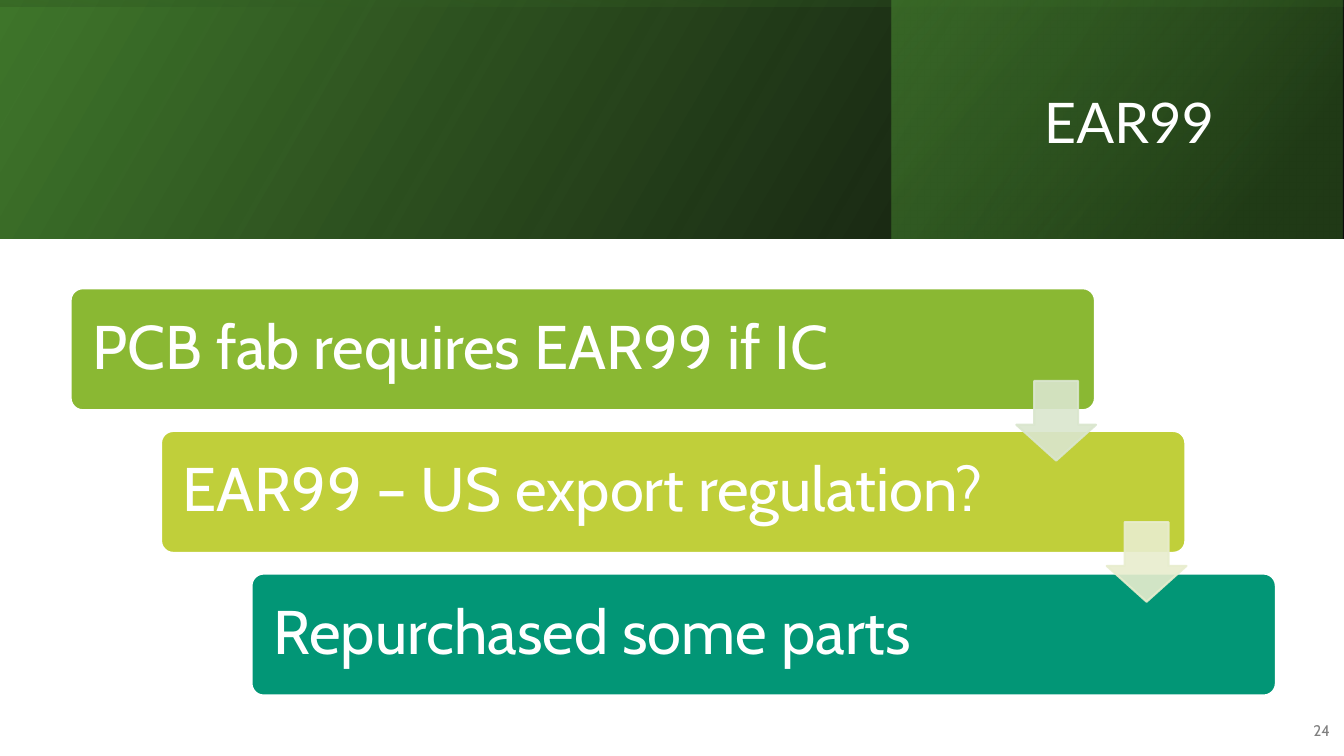
from dataclasses import dataclass
from typing import Optional

from lxml import etree
from pptx import Presentation
from pptx.dml.color import RGBColor
from pptx.enum.shapes import MSO_SHAPE
from pptx.enum.text import MSO_ANCHOR, PP_ALIGN
from pptx.oxml.ns import qn
from pptx.util import Inches, Pt

RECTANGLE = MSO_SHAPE.RECTANGLE
ROUNDED = MSO_SHAPE.ROUNDED_RECTANGLE
DOWN_ARROW = MSO_SHAPE.DOWN_ARROW
LEFT, RIGHT = PP_ALIGN.LEFT, PP_ALIGN.RIGHT
MIDDLE = MSO_ANCHOR.MIDDLE

SLIDE_WIDTH, SLIDE_HEIGHT = Inches(13.33), Inches(7.5)


@dataclass(frozen=True)
class Theme:
    white: str = "FFFFFF"
    black: str = "000000"
    green: str = "3F762B"
    deep_green: str = "2A4F1C"
    fresh_green: str = "549E39"
    gray: str = "808080"
    heading_font: str = "Lato"
    body_font: str = "Cabin"
    title_size: int = 40
    step_size: int = 44
    number_size: int = 11
    outline: float = 1.5


@dataclass(frozen=True)
class Box:
    """Left, top, width and height in percent of the slide."""
    left: float
    top: float
    width: float
    height: float


@dataclass(frozen=True)
class Stop:
    position: float
    color: str
    opacity: int


@dataclass(frozen=True)
class Band:
    box: Box
    stops: tuple[Stop, Stop]
    angle: int
    upright: bool = False


@dataclass(frozen=True)
class Step:
    text: str
    color: str
    arrow_color: Optional[str] = None


THEME = Theme()
HEADER = Box(0, 0, 100, 31.6)
FIRST_BAR = Box(5.25, 38.13, 76.22, 16.13)
FIRST_ARROW = Box(75.62, 50.4, 5.93, 10.53)
STEP_ACROSS, BAR_DOWN, ARROW_DOWN = 6.73, 18.87, 18.67
BAR_INSET = 1.35

BANDS = (
    Band(HEADER, (Stop(0, THEME.black, 96), Stop(1, THEME.green, 100)), 30),
    Band(Box(66.32, 0, 33.6, 31.6),
         (Stop(0.19, THEME.deep_green, 68), Stop(1, THEME.fresh_green, 48)), 40),
    Band(HEADER, (Stop(0.23, THEME.green, 16), Stop(0.99, THEME.black, 45)), 10, upright=True),
)

STEPS = (
    Step("PCB fab requires EAR99 if IC", "8AB833", "DAE6CE"),
    Step("EAR99 – US export regulation?", "C0CF3A", "E8EDCE"),
    Step("Repurchased some parts", "029676"),
)


def across(percent: float) -> int:
    return round(SLIDE_WIDTH * percent / 100)


def down(percent: float) -> int:
    return round(SLIDE_HEIGHT * percent / 100)


def frame(box: Box) -> tuple[int, int, int, int]:
    return across(box.left), down(box.top), across(box.width), down(box.height)


def shifted(box: Box, index: int, row_step: float) -> Box:
    return Box(box.left + index * STEP_ACROSS, box.top + index * row_step, box.width, box.height)


def set_opacity(parent, percent: int) -> None:
    for color in parent.iter(qn("a:srgbClr")):
        etree.SubElement(color, qn("a:alpha")).set("val", str(percent * 1000))


def add_band(slide, band: Band) -> None:
    left, top, width, height = frame(band.box)
    if band.upright:
        # A quarter turn swaps the sides around the same centre
        left, top = left + (width - height) // 2, top + (height - width) // 2
        width, height = height, width
    shape = slide.shapes.add_shape(RECTANGLE, left, top, width, height)
    shape.shadow.inherit = False
    shape.line.fill.background()
    shape.rotation = 270 if band.upright else 0
    shape._element.spPr.find(qn("a:xfrm")).set("flipH", "1")
    shape.fill.gradient()
    shape.fill.gradient_angle = band.angle
    elements = shape._element.spPr.iter(qn("a:gs"))
    for gradient_stop, element, stop in zip(shape.fill.gradient_stops, list(elements), band.stops):
        gradient_stop.position = stop.position
        gradient_stop.color.rgb = RGBColor.from_string(stop.color)
        set_opacity(element, stop.opacity)


def add_solid(slide, kind, box: Box, adjustments: tuple[float, ...], fill: str, line: str):
    shape = slide.shapes.add_shape(kind, *frame(box))
    shape.shadow.inherit = False
    for index, value in enumerate(adjustments):
        shape.adjustments[index] = value
    shape.fill.solid()
    shape.fill.fore_color.rgb = RGBColor.from_string(fill)
    shape.line.color.rgb = RGBColor.from_string(line)
    shape.line.width = Pt(THEME.outline)
    return shape


def write(shape, text: str, font: str, size: int, color: str, alignment) -> None:
    text_frame = shape.text_frame
    text_frame.word_wrap = True
    text_frame.vertical_anchor = MIDDLE
    text_frame.text = text
    paragraph = text_frame.paragraphs[0]
    paragraph.alignment = alignment
    paragraph.line_spacing = 0.9
    run = paragraph.runs[0]
    run.font.name = font
    run.font.size = Pt(size)
    run.font.color.rgb = RGBColor.from_string(color)


def add_step_bar(slide, index: int, step: Step) -> None:
    box = shifted(FIRST_BAR, index, BAR_DOWN)
    bar = add_solid(slide, ROUNDED, box, (0.1,), step.color, THEME.white)
    write(bar, step.text, THEME.body_font, THEME.step_size, THEME.white, LEFT)
    bar.text_frame.margin_left = bar.text_frame.margin_right = across(BAR_INSET)


def add_step_arrow(slide, index: int, color: str) -> None:
    box = shifted(FIRST_ARROW, index, ARROW_DOWN)
    arrow = add_solid(slide, DOWN_ARROW, box, (0.55, 0.45), color, color)
    set_opacity(arrow._element.spPr, 90)


def main() -> None:
    presentation = Presentation()
    presentation.slide_width, presentation.slide_height = SLIDE_WIDTH, SLIDE_HEIGHT
    slide = presentation.slides.add_slide(presentation.slide_layouts[6])

    # Header
    for band in BANDS:
        add_band(slide, band)
    title = slide.shapes.add_textbox(*frame(Box(11.33, 5.07, 79.74, 22.93)))
    write(title, "EAR99", THEME.heading_font, THEME.title_size, THEME.white, RIGHT)

    # Page number
    number = slide.shapes.add_textbox(*frame(Box(96.02, 94.13, 3.68, 5.33)))
    write(number, "24", THEME.body_font, THEME.number_size, THEME.gray, RIGHT)

    # Staircase of steps, with the arrows on top
    for index, step in enumerate(STEPS):
        add_step_bar(slide, index, step)
    for index, step in enumerate(STEPS):
        if step.arrow_color:
            add_step_arrow(slide, index, step.arrow_color)

    presentation.save("out.pptx")


if __name__ == "__main__":
    main()
